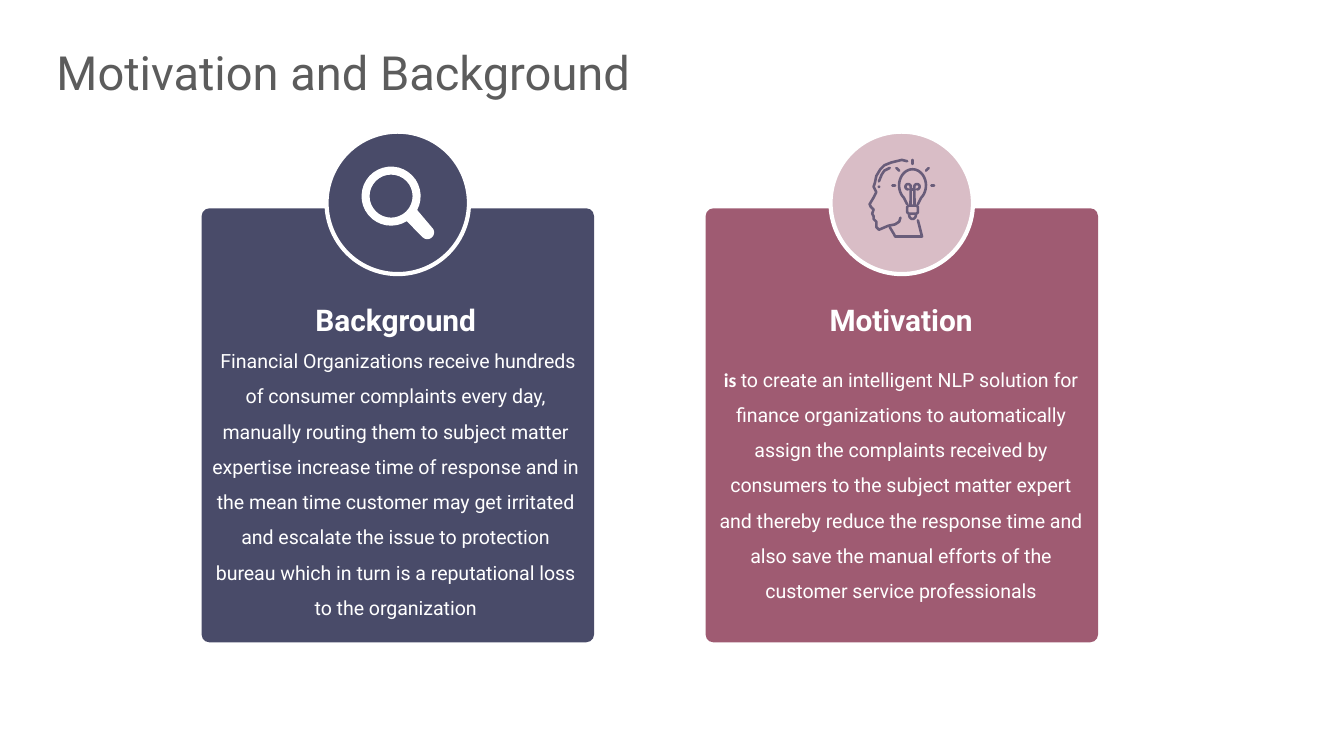
import math

from pptx import Presentation
from pptx import util as u
from pptx.dml.color import RGBColor
from pptx.enum import shapes, text
from pptx.oxml.ns import qn
from lxml import etree

PX = 9144  # 100 px to the inch
WIDTH = 1000
HEIGHT = WIDTH * 9 / 16
INK = {
    "title": "5C5C5C",
    "white": "FFFFFF",
    "navy": "494B69",
    "plum": "9F5B72",
    "pink": "D9BDC6",
    "icon": "695D7A",
}
FONT = "Roboto"
CARD_W, CARD_H, CARD_TOP = 292, 323, 155
BADGE, BADGE_TOP = 106, 98

BACKGROUND = (
    " Financial Organizations receive hundreds of consumer complaints every day, "
    "manually routing them to subject matter expertise increase time of response "
    "and in the mean time customer may get irritated and escalate the issue to "
    "protection bureau which in turn is a reputational loss to the organization"
)
MOTIVE = (
    "to create an intelligent NLP solution for finance organizations to "
    "automatically assign the complaints received by consumers to the subject "
    "matter expert and thereby reduce the response time and also save the manual "
    "efforts of the customer service professionals"
)

FACE = [(675, 120), (671, 119), (663, 121), (658, 123), (655, 126), (652, 131),
        (651, 136), (650, 139), (652, 143), (650, 147), (647, 152), (648, 154),
        (650, 156), (649, 159), (650, 161), (650, 163), (652, 165), (652, 169),
        (654, 171), (661, 168), (666, 167), (669, 165), (670, 162)]
NECK = [(662, 169), (665, 174), (666, 176), (686, 176), (685, 172), (683, 164)]
HAIR = [(654, 135), (656, 130), (658, 127), (662, 125)]
RAYS = [(693, 138, 695, 138), (689, 127, 691, 125), (679, 122, 679, 119),
        (669, 127, 667, 125), (666, 138, 664, 138)]


def px(*vals):
    return [round(v * PX) for v in vals]


def rgb(name):
    return RGBColor.from_string(INK[name])


def arc(x, y, rx, ry, start, end, steps=32):
    """Points along an ellipse; degrees run clockwise from the right."""
    turns = [math.radians(start + (end - start) * i / steps)
             for i in range(steps + 1)]
    return [(x + rx * math.cos(t), y + ry * math.sin(t)) for t in turns]


def style(font, size, color, bold=False, name=FONT):
    font.name, font.size, font.bold = name, u.Pt(size), bold
    font.color.rgb = rgb(color)


def trim(frame):
    frame.margin_left = frame.margin_right = 0
    frame.margin_top = frame.margin_bottom = 0
    frame.word_wrap = True


def solid(pool, kind, box, fill, line=None):
    shape = pool.add_shape(kind, *px(*box))
    shape.shadow.inherit = False
    shape.fill.solid()
    shape.fill.fore_color.rgb = rgb(fill)
    if line:
        shape.line.color.rgb = rgb(line)
        shape.line.width = u.Pt(2.25)
    else:
        shape.line.fill.background()
    return shape


def outline(pool, paths, closed):
    first, *rest = paths
    pen = pool.build_freeform(*px(*first[0]), scale=1.0)
    pen.add_line_segments([px(*p) for p in first[1:]], close=closed)
    for path in rest:
        pen.move_to(*px(*path[0]))
        pen.add_line_segments([px(*p) for p in path[1:]], close=closed)
    shape = pen.convert_to_shape()
    shape.shadow.inherit = False
    return shape


def ink(shape):
    shape.line.color.rgb = rgb("icon")
    shape.line.width = u.Pt(1.4)
    shape.element.spPr.find(qn("a:ln")).set("cap", "rnd")


def stroke(pool, paths, closed=False):
    shape = outline(pool, paths, closed)
    shape.fill.background()
    ink(shape)


def ray(pool, ends):
    line = pool.add_connector(shapes.MSO_CONNECTOR.STRAIGHT, *px(*ends))
    ink(line)
    etree.SubElement(line.element.spPr, qn("a:effectLst"))


def lens(pool):
    """Magnifying glass: a ring with a round-ended handle."""
    rim = arc(291, 146, 22, 22, 58, 388) + arc(318, 173, 5, 5, -45, 135)
    hole = arc(291, 146, 16, 16, 0, 360)
    shape = outline(pool, [rim, hole], True)
    shape.fill.solid()
    shape.fill.fore_color.rgb = rgb("white")
    shape.line.fill.background()


def idea(pool):
    """Head in profile with a shining bulb."""
    group = pool.add_group_shape().shapes
    stroke(group, [FACE, NECK, HAIR])
    solid(group, shapes.MSO_SHAPE.OVAL, (653, 138, 2, 2), "icon")
    glass = [(675, 152)] + arc(679, 138, 10, 12, 130, 410) + [(683, 152)]
    left = arc(675.7, 139, 2, 2, 90, 360, 12) + [(677.5, 153)]
    right = arc(682.3, 139, 2, 2, 90, -180, 12) + [(680.5, 153)]
    bar = [(677.5, 141), (680.5, 141)]
    stroke(group, [glass, left, right, bar, arc(679, 160, 2.5, 3, 180, 0, 12)])
    stroke(group, [[(675, 154), (676, 153), (682, 153), (683, 154),
                    (683, 158), (682, 159), (676, 159), (675, 158)]], True)
    for ends in RAYS:
        ray(group, ends)


def card(pool, left, fill, badge, curve):
    panel = solid(pool, shapes.MSO_SHAPE.ROUNDED_RECTANGLE,
                  (left, CARD_TOP, CARD_W, CARD_H), fill)
    panel.adjustments[0] = curve
    mid = left + (CARD_W - BADGE) / 2
    solid(pool, shapes.MSO_SHAPE.OVAL, (mid, BADGE_TOP, BADGE, BADGE),
          badge, "white")


def copy(pool, box, paras):
    """Text box; each paragraph is a list of (words, size, bold, font)."""
    frame = pool.add_textbox(*px(*box)).text_frame
    trim(frame)
    frame.auto_size = text.MSO_AUTO_SIZE.SHAPE_TO_FIT_TEXT
    for i, runs in enumerate(paras):
        para = frame.add_paragraph() if i else frame.paragraphs[0]
        para.alignment = text.PP_ALIGN.CENTER
        para.line_spacing, para.space_after = 1.5, u.Pt(10)
        for words, size, bold, name in runs:
            if words == "\n":
                para.add_line_break()
                continue
            run = para.add_run()
            run.text = words
            style(run.font, size, "white", bold, name)


def head(title):
    title.left, title.top, title.width, title.height = px(42, 31, 915, 45)
    frame = title.text_frame
    frame.text = "Motivation and Background"
    trim(frame)
    frame.auto_size = text.MSO_AUTO_SIZE.NONE
    frame.vertical_anchor = text.MSO_ANCHOR.MIDDLE
    frame.paragraphs[0].alignment = text.PP_ALIGN.LEFT
    style(frame.paragraphs[0].font, 25.2, "title")


def main():
    deck = Presentation()
    deck.slide_width, deck.slide_height = px(WIDTH, HEIGHT)
    slide = deck.slides.add_slide(deck.slide_layouts[5])
    pool = slide.shapes
    head(pool.title)

    card(pool, 150, "navy", "navy", 0.02)
    copy(pool, (158, 211, 273, 249), [
        [("Background", 16, True, FONT), ("\n", 16, True, FONT),
         (BACKGROUND, 10.5, False, FONT)]])
    lens(pool)

    card(pool, 525, "plum", "pink", 0.02)
    copy(pool, (534, 211, 273, 237), [
        [("Motivation", 16, True, FONT)],
        [("is ", 10.5, True, "Calibri"), (MOTIVE, 10.5, False, FONT)]])
    idea(pool)
    deck.save("out.pptx")


if __name__ == "__main__":
    main()
